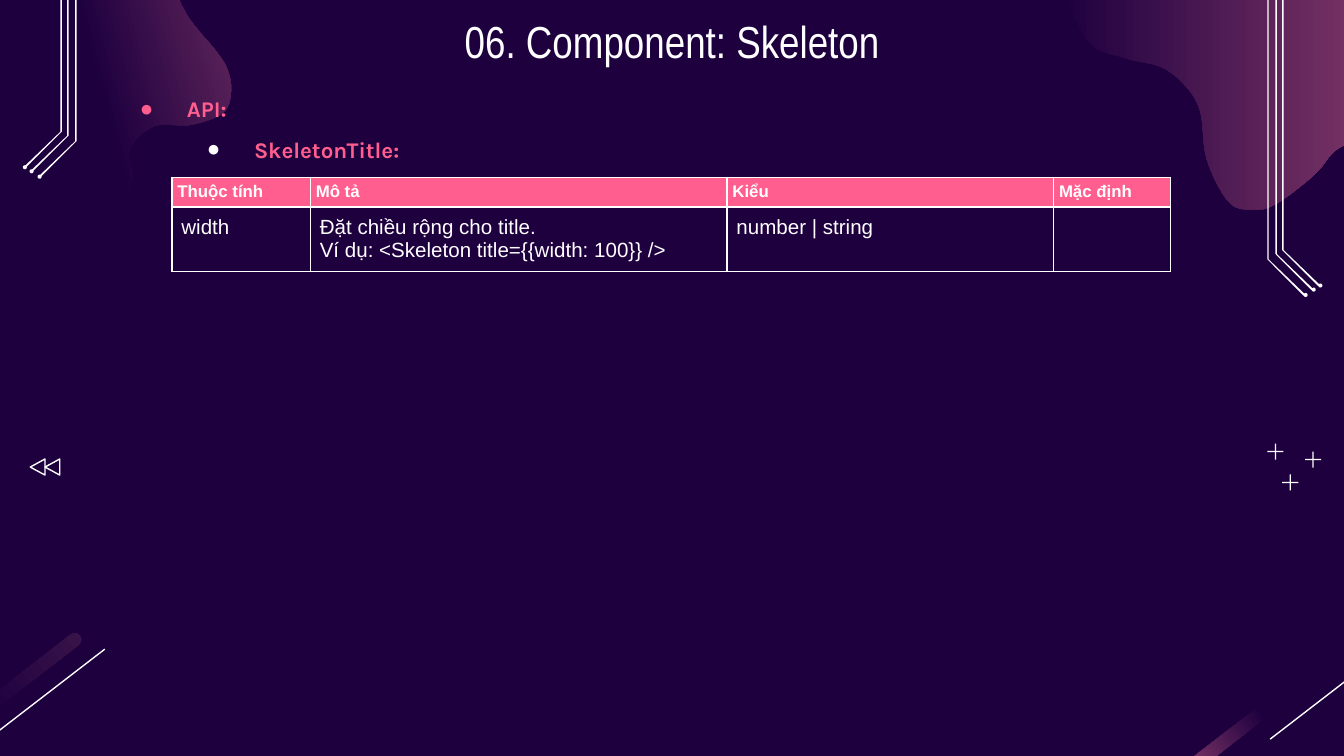
from dataclasses import dataclass

from pptx import Presentation, util as u
from pptx.dml.color import RGBColor
from pptx.enum import shapes, text
from pptx.oxml import parse_xml
from pptx.oxml.ns import nsdecls, qn


@dataclass(frozen=True)
class Theme:
    night: str = "1E003F"
    mauve: str = "A64D79"
    dusk: str = "391349"
    pink: str = "FF5E8E"
    white: str = "FFFFFF"
    title_font: str = "Arial Narrow"
    list_font: str = "Karla"
    table_font: str = "Arial"
    title_size: float = 24
    list_size: float = 12
    head_size: float = 9
    cell_size: float = 11
    hairline: float = 0.75
    border: float = 1


def smooth_loop(anchors, steps=8):
    """Closed Catmull-Rom curve through the anchors."""
    curve = []
    count = len(anchors)
    for i in range(count):
        a, b, c, d = (anchors[(i + k) % count] for k in (-1, 0, 1, 2))
        for step in range(steps):
            t = step / steps
            curve.append(tuple(
                (2 * q + (r - p) * t + (2 * p - 5 * q + 4 * r - s) * t ** 2
                 + (3 * q - p - 3 * r + s) * t ** 3) / 2
                for p, q, r, s in zip(a, b, c, d)))
    return curve


class SlideBuilder:
    def __init__(self, page, theme):
        self.page = page
        self.theme = theme
        page.background.fill.solid()
        page.background.fill.fore_color.rgb = RGBColor.from_string(theme.night)

    def paint(self, shape, fill=None, line=None):
        shape.shadow.inherit = False
        if fill:
            shape.fill.solid()
            shape.fill.fore_color.rgb = RGBColor.from_string(fill)
        else:
            shape.fill.background()
        if line:
            shape.line.color.rgb = RGBColor.from_string(line)
            shape.line.width = u.Pt(self.theme.hairline)
        else:
            shape.line.fill.background()

    def gradient(self, shape, stops, angle):
        self.paint(shape)
        marks = "".join(f'<a:gs pos="{at * 1000}"><a:srgbClr val="{color}"/></a:gs>'
                        for at, color in stops)
        fill = parse_xml(f'<a:gradFill {nsdecls("a")} rotWithShape="1"><a:gsLst>{marks}</a:gsLst>'
                         f'<a:lin ang="{angle * 60000}" scaled="0"/></a:gradFill>')
        props = shape.element.spPr
        props.replace(props.find(qn("a:noFill")), fill)

    def outline(self, points):
        spots = [(u.Inches(x), u.Inches(y)) for x, y in points]
        builder = self.page.shapes.build_freeform(*spots[0])
        builder.add_line_segments(spots[1:], close=True)
        return builder.convert_to_shape()

    def preset(self, kind, left, top, width, height, rotation=0):
        shape = self.page.shapes.add_shape(
            kind, *(u.Inches(v) for v in (left, top, width, height)))
        shape.rotation = rotation
        return shape

    def line(self, *ends):
        rule = self.page.shapes.add_connector(
            shapes.MSO_CONNECTOR.STRAIGHT, *(u.Inches(v) for v in ends))
        rule.line.color.rgb = RGBColor.from_string(self.theme.white)
        rule.line.width = u.Pt(self.theme.hairline)
        rule.element.spPr.append(parse_xml(f'<a:effectLst {nsdecls("a")}/>'))

    def span(self, para, words, font, size, color, bold=False):
        run = para.add_run()
        run.text = words
        run.font.name = font
        run.font.size = u.Pt(size)
        run.font.bold = bold
        run.font.color.rgb = RGBColor.from_string(color)

    def placeholder(self, box, left, top, width, height, anchor):
        box.left, box.top, box.width, box.height = (
            u.Inches(v) for v in (left, top, width, height))
        box.element.getparent().append(box.element)  # bring to the front
        frame = box.text_frame
        frame.auto_size = text.MSO_AUTO_SIZE.NONE
        frame.word_wrap = True
        frame.vertical_anchor = anchor
        frame.margin_left = frame.margin_right = u.Inches(0.1)
        frame.margin_top = frame.margin_bottom = u.Inches(0.1)
        return frame

    def title(self, words):
        frame = self.placeholder(self.page.shapes.title, 0.79, 0, 8.42, 0.63,
                                 text.MSO_ANCHOR.TOP)
        para = frame.paragraphs[0]
        para.alignment = text.PP_ALIGN.CENTER
        self.span(para, words, self.theme.title_font, self.theme.title_size, self.theme.white)

    def bullets(self, items):
        frame = self.placeholder(self.page.placeholders[1], 0.79, 0.51, 8.12, 0.73,
                                 text.MSO_ANCHOR.TOP)
        for level, (words, dot) in enumerate(items):
            para = frame.add_paragraph() if level else frame.paragraphs[0]
            para.level = level
            para.line_spacing = 1.5
            para.space_before = u.Pt(0)
            props = para._p.get_or_add_pPr()
            props.set("marL", str(u.Inches(0.5 * (level + 1))))
            props.set("indent", str(u.Inches(-0.35)))
            props.append(parse_xml(f'<a:buClr {nsdecls("a")}><a:srgbClr val="{dot}"/></a:buClr>'))
            props.append(parse_xml(f'<a:buChar {nsdecls("a")} char="●"/>'))
            self.span(para, words, self.theme.list_font, self.theme.list_size,
                      self.theme.pink, True)

    def table(self, left, top, widths, heights, rows):
        style = self.theme
        grid = self.page.shapes.add_table(
            len(rows), len(widths), u.Inches(left), u.Inches(top),
            u.Inches(sum(widths)), u.Inches(sum(heights))).table
        grid.first_row = grid.horz_banding = False
        for column, width in zip(grid.columns, widths):
            column.width = u.Inches(width)
        for r, (height, row) in enumerate(zip(heights, rows)):
            head = r == 0
            grid.rows[r].height = u.Inches(height)
            for c, words in enumerate(row):
                cell = grid.cell(r, c)
                inset = u.Inches(0.04 if head else 0.07)
                cell.margin_left = cell.margin_right = inset
                cell.margin_top = cell.margin_bottom = inset
                for side in "LRTB":
                    cell._tc.get_or_add_tcPr().append(parse_xml(
                        f'<a:ln{side} {nsdecls("a")} w="{u.Pt(style.border)}"><a:solidFill>'
                        f'<a:srgbClr val="{style.white}"/></a:solidFill></a:ln{side}>'))
                if head:
                    cell.fill.solid()
                    cell.fill.fore_color.rgb = RGBColor.from_string(style.pink)
                else:
                    cell.fill.background()
                for i, part in enumerate(words.splitlines()):
                    frame = cell.text_frame
                    para = frame.add_paragraph() if i else frame.paragraphs[0]
                    self.span(para, part, style.table_font,
                              style.head_size if head else style.cell_size, style.white, head)


LEFT_BLOB = [
    (0.48, 1.9), (0.9, 1.65), (0.99, 1.31), (0.97, 1.11), (1.15, 0.94), (1.42, 0.93),
    (1.66, 0.84), (1.72, 0.68), (1.69, 0.51), (1.6, 0.37), (1.48, 0.23), (1.38, 0.09),
    (1.33, -0.07), (1.43, -0.31), (1.59, -0.39),
    (1.9, -0.41), (2.28, -0.43), (2.52, -0.58), (2.58, -0.87), (2.33, -1.34), (1.65, -1.5),
    (0.7, -0.95), (-0.47, -0.82), (-1.28, -0.61), (-1.74, -0.3), (-1.94, 0.22),
    (-1.56, 0.8), (-0.88, 0.99), (-0.46, 1.06), (-0.13, 1.33), (-0.03, 1.66)]
RIGHT_BLOB = [
    (11.25, 0.38), (11.05, -0.35), (10.58, -0.77), (9.89, -0.84), (9.29, -1.13),
    (8.97, -1.41), (8.52, -1.43), (8.19, -1.29), (7.93, -0.78), (7.9, -0.18), (8.09, 0.3),
    (8.36, 0.43), (8.64, 0.5), (8.82, 0.64), (8.93, 0.83), (8.98, 1.19), (9.14, 1.5),
    (9.31, 1.56), (9.49, 1.52), (9.78, 1.3), (9.95, 1.11), (10.18, 1.06), (10.52, 1.38),
    (11.17, 0.88)]


def main():
    deck = Presentation()
    deck.slide_width = u.Inches(10)
    deck.slide_height = deck.slide_width * 9 // 16
    theme = Theme()
    slide = SlideBuilder(deck.slides.add_slide(deck.slide_layouts[1]), theme)
    preset = shapes.MSO_SHAPE
    late_glow = [(0, theme.night), (50, theme.night), (100, theme.mauve)]

    # Corner blobs
    slide.gradient(slide.outline(smooth_loop(LEFT_BLOB)),
                   [(0, theme.night), (55, theme.night), (100, theme.mauve)], 345)
    slide.gradient(slide.outline(smooth_loop(RIGHT_BLOB)),
                   [(0, theme.night), (100, theme.mauve)], 0)

    # Slanted streaks with their lines
    faint_glow = late_glow[:2] + [(100, theme.dusk)]
    for left, stops, angle in ((-1.07, faint_glow, 0), (8.46, late_glow, 180)):
        streak = slide.preset(preset.ROUNDED_RECTANGLE, left, 5.25, 1.86, 0.1, -37.8)
        streak.adjustments[0] = 0.5
        slide.gradient(streak, stops, angle)
    for right in (0.78, 10.32):
        slide.line(right, 4.83, right - 0.87, 5.5)

    # Circuit traces, mirrored left and right
    for x0, top, bend0, way in ((9.54, -1.19, 1.86, 1), (0.46, -2.07, 0.98, -1)):
        for shift, drop in ((0, 0), (0.05, 0.03), (0.11, 0.07)):
            x, bend = x0 - way * shift, bend0 + drop
            corners = [(0.01, top), (0, top), (0, bend), (0.27, bend + 0.27),
                       (0.28, bend + 0.26), (0.01, bend)]
            trace = slide.outline([(x + way * dx, y) for dx, y in corners])
            dot = slide.preset(preset.OVAL, x + way * 0.28 - 0.01, bend + 0.25, 0.03, 0.03)
            for part in (trace, dot):
                slide.paint(part, theme.white)

    # Plus signs
    for x, y in ((9.6, 3.59), (9.77, 3.42), (9.49, 3.36)):
        for width, height in ((0.12, 0.01), (0.01, 0.12)):
            bar = slide.preset(preset.RECTANGLE, x - width / 2, y - height / 2, width, height)
            slide.paint(bar, theme.white)

    # Rewind arrows
    for left in (0.22, 0.33):
        arrow = slide.preset(preset.ISOSCELES_TRIANGLE, left, 3.42, 0.12, 0.11, 270)
        slide.paint(arrow, line=theme.white)

    # Text and table
    slide.bullets([("API:", theme.pink), ("SkeletonTitle:", theme.white)])
    slide.title("06. Component: Skeleton")
    slide.table(1.28, 1.32, [1.03, 3.1, 2.43, 0.87], [0.22, 0.48], [
        ["Thuộc tính", "Mô tả", "Kiểu", "Mặc định"],
        ["width", "Đặt chiều rộng cho title.\nVí dụ: <Skeleton title={{width: 100}} />",
         "number | string", ""]])

    deck.save("out.pptx")


if __name__ == "__main__":
    main()
